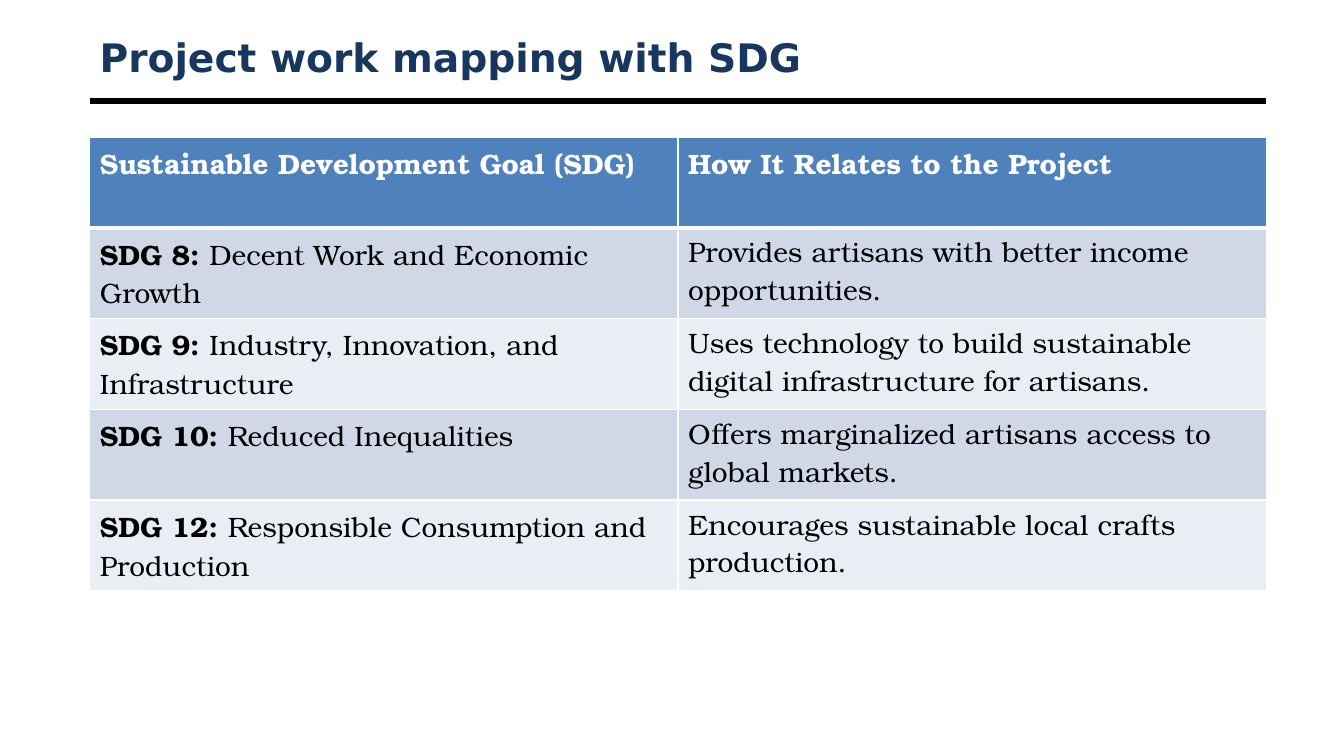
from lxml import etree
from pptx import Presentation
from pptx.dml.color import RGBColor
from pptx.enum.shapes import MSO_CONNECTOR
from pptx.enum.text import MSO_ANCHOR
from pptx.oxml.ns import qn
from pptx.util import Inches, Pt

STRAIGHT = MSO_CONNECTOR.STRAIGHT
MIDDLE = MSO_ANCHOR.MIDDLE

TITLE = "Project work mapping with SDG"
HEAD = ("Sustainable Development Goal (SDG)", "How It Relates to the Project")
GOALS = [
    ("SDG 8: ", "Decent Work and Economic Growth",
     "Provides artisans with better income opportunities."),
    ("SDG 9: ", "Industry, Innovation, and Infrastructure",
     "Uses technology to build sustainable digital infrastructure for artisans."),
    ("SDG 10: ", "Reduced Inequalities",
     "Offers marginalized artisans access to global markets."),
    ("SDG 12: ", "Responsible Consumption and Production",
     "Encourages sustainable local crafts production."),
]
COLORS = {"title": "17375E", "rule": "000000", "head": "4F81BD", "odd": "D0D8E8",
          "even": "E9EDF4", "text": "000000", "white": "FFFFFF"}
TITLE_FONT, BODY_FONT = "DejaVu Sans", "TeX Gyre Bonum"
LEFT, WIDTH = 0.89, 11.67
ROW_H = 0.9


def color(name):
    return RGBColor.from_string(COLORS[name])


def add_run(para, text, font, size, tint, bold):
    run = para.add_run()
    run.text = text
    run.font.name, run.font.size, run.font.bold = font, Pt(size), bold
    run.font.color.rgb = color(tint)


def set_edges(cell, bottom):
    """Draw white cell borders, 1 pt except for the bottom one."""
    props = cell._tc.get_or_add_tcPr()
    for place, side in enumerate("LRTB"):
        width = bottom if side == "B" else 1
        edge = etree.Element(qn(f"a:ln{side}"), w=str(Pt(width)))
        fill = etree.SubElement(edge, qn("a:solidFill"))
        etree.SubElement(fill, qn("a:srgbClr"), val=COLORS["white"])
        props.insert(place, edge)


def fill_cell(cell, parts, back, tint, bottom=1):
    """Write (text, bold) parts into a cell and style it."""
    cell.fill.solid()
    cell.fill.fore_color.rgb = color(back)
    set_edges(cell, bottom)
    for text, bold in parts:
        add_run(cell.text_frame.paragraphs[0], text, BODY_FONT, 20, tint, bold)


def add_rule(slide):
    rule = slide.shapes.add_connector(
        STRAIGHT, Inches(LEFT), Inches(1), Inches(LEFT + WIDTH), Inches(1))
    rule.line.color.rgb = color("rule")
    rule.line.width = Pt(4.5)
    etree.SubElement(rule._element.spPr, qn("a:effectLst"))


def add_title(slide):
    box = slide.shapes.add_textbox(Inches(LEFT), Inches(0.3), Inches(WIDTH), Inches(0.53))
    frame = box.text_frame
    frame.word_wrap = True
    frame.vertical_anchor = MIDDLE
    add_run(frame.paragraphs[0], TITLE, TITLE_FONT, 28, "title", True)


def add_goals(slide):
    count = len(GOALS) + 1
    table = slide.shapes.add_table(
        count, len(HEAD), Inches(LEFT), Inches(1.36),
        Inches(WIDTH), Inches(ROW_H * count)).table
    for col, text in enumerate(HEAD):
        fill_cell(table.cell(0, col), [(text, True)], "head", "white", 3)
    for row, (code, goal, link) in enumerate(GOALS, 1):
        back = "odd" if row % 2 else "even"
        fill_cell(table.cell(row, 0), [(code, True), (goal, False)], back, "text")
        fill_cell(table.cell(row, 1), [(link, False)], back, "text")


def main():
    deck = Presentation()
    deck.slide_width, deck.slide_height = Inches(13.33), Inches(7.5)
    slide = deck.slides.add_slide(deck.slide_layouts[6])
    add_rule(slide)
    add_title(slide)
    add_goals(slide)
    deck.save("out.pptx")


if __name__ == "__main__":
    main()
